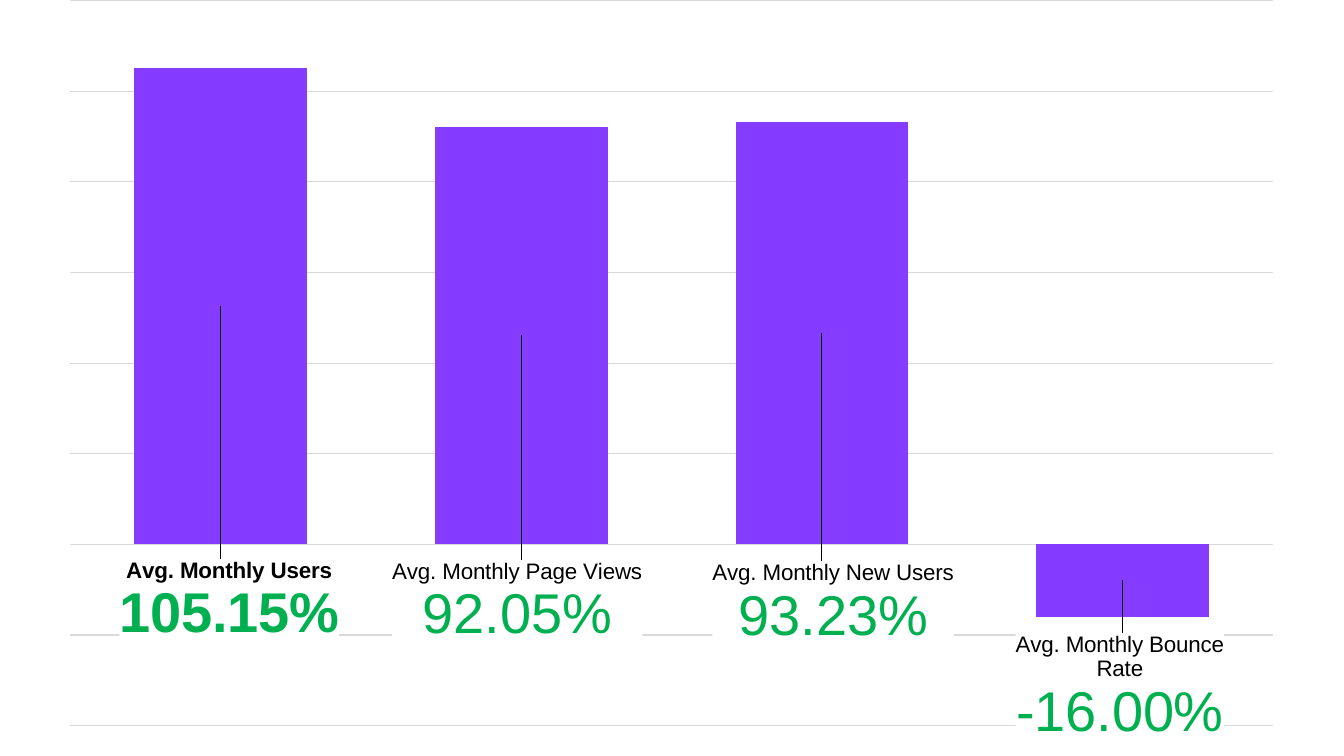
from pptx import Presentation
from pptx.chart.data import CategoryChartData
from pptx.dml.color import RGBColor
from pptx.enum.chart import XL_CHART_TYPE as ChartType
from pptx.oxml import parse_xml
from pptx.oxml.ns import nsdecls, qn
from pptx.util import Pt

COLORS = {"bar": "853CFF", "grid": "D9D9D9", "caption": "000000",
          "growth": "00B050", "label": "595959", "back": "FFFFFF"}
CHART_WIDTH, CHART_HEIGHT = 881, 540
METRICS = [
    ("Average Monthly Users", 1.0515, ["Avg. Monthly Users"], 6, 211),
    ("Avergae Monthly Page Views", 0.9205, ["Avg. Monthly Page Views"], -3, 190.5),
    ("Average Monthly New Users", 0.9323, ["Avg. Monthly New Users"], 8, 193.5),
    ("Average Monthly Bounce Rate", -0.16, ["Avg. Monthly Bounce", "Rate"], -2, 76.5),
]


def color(name):
    return RGBColor.from_string(COLORS[name])


def layout_xml(**settings):
    tags = "".join(f'<c:{tag} val="{value}"/>' for tag, value in settings.items())
    return parse_xml(f'<c:layout {nsdecls("c")}><c:manualLayout>{tags}'
                     '</c:manualLayout></c:layout>')


prs = Presentation()
prs.slide_width, prs.slide_height = Pt(960), Pt(540)
slide = prs.slides.add_slide(prs.slide_layouts[6])

data = CategoryChartData(number_format="0.00%")
data.categories = [metric[0] for metric in METRICS]
data.add_series("Series 1", [metric[1] for metric in METRICS])
chart = slide.shapes.add_chart(ChartType.COLUMN_STACKED, Pt(41.5), Pt(0),
                               Pt(CHART_WIDTH), Pt(CHART_HEIGHT), data).chart
chart.has_legend = False
chart.has_title = False
chart.font.name = "Calibri"
chart.font.size = Pt(10)
chart.font.color.rgb = color("caption")

growth_axis = chart.value_axis
growth_axis.minimum_scale, growth_axis.maximum_scale = -0.4, 1.2
growth_axis.major_unit = 0.2
growth_axis.tick_labels.number_format = "0.00%"
growth_axis.tick_labels.number_format_is_linked = False
growth_axis.has_major_gridlines = True
growth_axis.major_gridlines.format.line.color.rgb = color("grid")
growth_axis.major_gridlines.format.line.width = Pt(0.75)
growth_axis.visible = False
chart.category_axis.visible = False

plot_area = chart.plots[0]._element.getparent()
for automatic in plot_area.findall(qn("c:layout")):
    plot_area.remove(automatic)
plot_area.insert(0, layout_xml(layoutTarget="inner", xMode="edge", yMode="edge",
                               x=0.01, y=0, w=0.975, h=0.96))

bars = chart.plots[0]
bars.gap_width, bars.overlap = 74, 100
bars.vary_by_categories = False
growth = bars.series[0]
growth.invert_if_negative = False
growth.format.fill.solid()
growth.format.fill.fore_color.rgb = color("bar")

labels = growth.data_labels
labels.show_value = labels.show_category_name = True
labels.number_format = "0.00%"
labels.number_format_is_linked = False
labels.font.name = "Calibri"
labels.font.size = Pt(12)
labels.font.color.rgb = color("label")
labels._element.append(parse_xml(
    f'<c:extLst {nsdecls("c")}><c:ext uri="{{CE6537A1-D6FC-4f65-9D91-7224C49458BB}}" '
    'xmlns:c15="http://schemas.microsoft.com/office/drawing/2012/chart">'
    '<c15:showLeaderLines val="0"/></c:ext></c:extLst>'))

for index, (_, value, caption, shift_x, shift_y) in enumerate(METRICS):
    frame = growth.points[index].data_label.text_frame
    lines = [(text, 16, "caption") for text in caption]
    lines.append((f"{value:.2%}", 40, "growth"))
    for number, (text, size, ink) in enumerate(lines):
        paragraph = frame.add_paragraph() if number else frame.paragraphs[0]
        run = paragraph.add_run()
        run.text = text
        run.font.name = "Arial"
        run.font.size = Pt(size)
        run.font.bold = index == 0
        run.font.color.rgb = color(ink)
    rich_text = frame._txBody.getparent()
    rich_text.addprevious(layout_xml(x=shift_x / CHART_WIDTH, y=shift_y / CHART_HEIGHT))
    rich_text.addnext(parse_xml(
        f'<c:spPr {nsdecls("c", "a")}><a:solidFill><a:srgbClr val="{COLORS["back"]}"/>'
        '</a:solidFill><a:ln><a:noFill/></a:ln></c:spPr>'))

prs.save("out.pptx")
